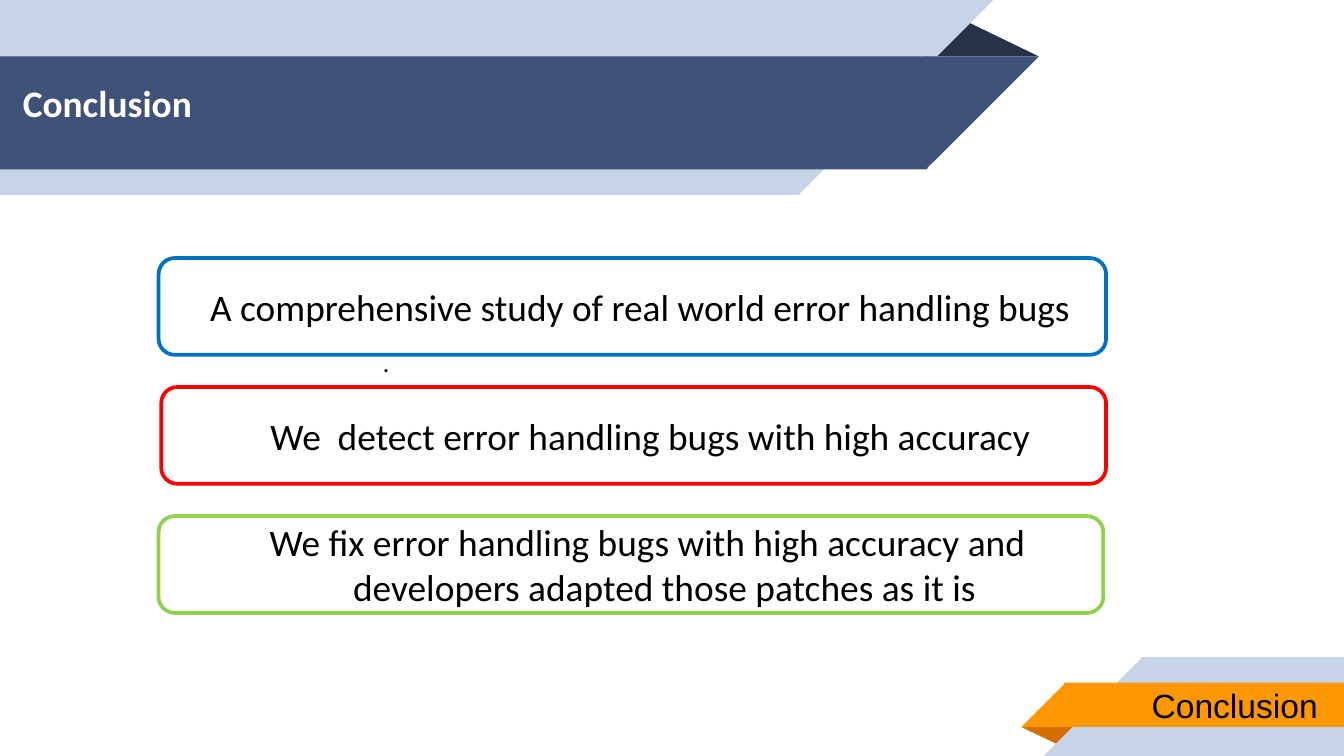
import pptx
import pptx.util
from dataclasses import dataclass
from lxml import etree
from pptx.dml.color import RGBColor
from pptx.enum.shapes import MSO_SHAPE
from pptx.enum.text import MSO_ANCHOR, MSO_AUTO_SIZE, PP_ALIGN
from pptx.oxml.ns import qn

Inches = pptx.util.Inches
Pt = pptx.util.Pt

SLIDE_WIDTH = 10
SLIDE_HEIGHT = SLIDE_WIDTH * 9 / 16
OVERLAP = 0.01  # hides the seam between the two parts of a ribbon


@dataclass(frozen=True)
class Theme:
    pale: str = "C7D3E6"
    navy: str = "3F5378"
    dark_navy: str = "263248"
    orange: str = "FF9800"
    dark_orange: str = "D26F00"
    white: str = "FFFFFF"
    black: str = "000000"
    blue: str = "0070C0"
    red: str = "FF0000"
    green: str = "92D050"
    body_font: str = "Calibri"
    label_font: str = "Arial"
    main_size: int = 20
    label_size: int = 18
    dot_size: int = 14


THEME = Theme()


def add_block(slide, kind, box, fill, rotation=0, flip=False):
    """Add a plain filled shape without an outline."""
    shape = slide.shapes.add_shape(kind, *map(Inches, box))
    shape.shadow.inherit = False
    shape.fill.solid()
    shape.fill.fore_color.rgb = RGBColor.from_string(fill)
    shape.line.fill.background()
    shape.rotation = rotation
    if flip:
        shape.element.spPr.find(qn("a:xfrm")).set("flipH", "1")
    return shape


def add_fold(slide, box, fill, rotation=0):
    fold = add_block(slide, MSO_SHAPE.ISOSCELES_TRIANGLE, box, fill, rotation)
    fold.adjustments[0] = 0.32


def add_left_ribbon(slide, top, length, height, fill):
    """Band from the left edge, with a slanted right end."""
    add_block(slide, MSO_SHAPE.RECTANGLE,
              (0, top, length + OVERLAP, height), fill, 180, True)
    add_block(slide, MSO_SHAPE.RIGHT_TRIANGLE,
              (length, top, height, height), fill, 180, True)


def add_right_ribbon(slide, left, top, height, fill):
    """Band up to the right edge, with a slanted left end."""
    add_block(slide, MSO_SHAPE.RECTANGLE,
              (left - OVERLAP, top, SLIDE_WIDTH - left + OVERLAP, height),
              fill, flip=True)
    add_block(slide, MSO_SHAPE.RIGHT_TRIANGLE,
              (left - height, top, height, height), fill, flip=True)


def write_text(frame, text, size, color=THEME.black, font=THEME.body_font,
               align=PP_ALIGN.LEFT, hanging=False, bold=False):
    paragraph = frame.paragraphs[0]
    paragraph.text = text
    paragraph.alignment = align
    if hanging:
        properties = paragraph._p.get_or_add_pPr()
        properties.set("marL", str(Inches(0.5)))
        properties.set("indent", str(Inches(-0.25)))
        etree.SubElement(properties, qn("a:buNone"))
    paragraph.font.name = font
    paragraph.font.size = Pt(size)
    paragraph.font.bold = bold
    paragraph.font.color.rgb = RGBColor.from_string(color)


def add_title(slide, text):
    title = slide.shapes.title
    title.left, title.top, title.width, title.height = map(
        Inches, (0.07, 0.5, 6.01, 0.84))
    frame = title.text_frame
    frame.auto_size = MSO_AUTO_SIZE.NONE
    frame.vertical_anchor = MSO_ANCHOR.TOP
    frame.margin_left = frame.margin_right = Inches(0.1)
    frame.margin_top = frame.margin_bottom = Inches(0.1)
    write_text(frame, text, THEME.main_size, THEME.white, bold=True)


def add_finding(slide, box, text, color, align):
    shape = add_block(slide, MSO_SHAPE.ROUNDED_RECTANGLE, box, THEME.white)
    shape.line.color.rgb = RGBColor.from_string(color)
    shape.line.width = Pt(2)
    shape.text_frame.word_wrap = True
    shape.text_frame.vertical_anchor = MSO_ANCHOR.MIDDLE
    write_text(shape.text_frame, text, THEME.main_size, align=align, hanging=True)


def add_label(slide, box, text, size, wrap, **style):
    frame = slide.shapes.add_textbox(*map(Inches, box)).text_frame
    frame.word_wrap = wrap
    frame.auto_size = MSO_AUTO_SIZE.SHAPE_TO_FIT_TEXT
    write_text(frame, text, size, **style)


def main():
    presentation = pptx.Presentation()
    presentation.slide_width = Inches(SLIDE_WIDTH)
    presentation.slide_height = Inches(SLIDE_HEIGHT)
    slide = presentation.slides.add_slide(presentation.slide_layouts[5])

    # Title ribbon
    add_fold(slide, (6.88, 0.14, 0.85, 0.28), THEME.dark_navy)
    add_left_ribbon(slide, 0, 5.94, 1.45, THEME.pale)
    add_left_ribbon(slide, 0.42, 6.89, 0.84, THEME.navy)

    # Corner ribbon
    add_fold(slide, (7.6, 5.41, 0.43, 0.14), THEME.dark_orange, 180)
    add_right_ribbon(slide, 8.5, 4.89, SLIDE_HEIGHT - 4.89, THEME.pale)
    add_right_ribbon(slide, 7.93, 5.08, 0.33, THEME.orange)

    # Title, brought in front of the ribbons
    slide.shapes._spTree.append(slide.shapes.title.element)
    add_title(slide, "Conclusion")

    # Findings
    findings = [
        (1.18, 7.05, "A comprehensive study of real world error handling bugs",
         THEME.blue, PP_ALIGN.LEFT),
        (1.2, 7.03, "We  detect error handling bugs with high accuracy",
         THEME.red, PP_ALIGN.CENTER),
        (1.18, 7.03, "We fix error handling bugs with high accuracy and "
         "developers adapted those patches as it is",
         THEME.green, PP_ALIGN.CENTER),
    ]
    for row, (left, width, text, color, align) in enumerate(findings):
        box = (left, 1.92 + 0.96 * row, width, 0.72)
        add_finding(slide, box, text, color, align)

    # Small texts
    add_label(slide, (2.5, 2.53, 5, 0.34), ".", THEME.dot_size, True, hanging=True)
    add_label(slide, (8.47, 5.05, 1.45, 0.4), "Conclusion", THEME.label_size,
              False, font=THEME.label_font)

    presentation.save("out.pptx")


if __name__ == "__main__":
    main()
